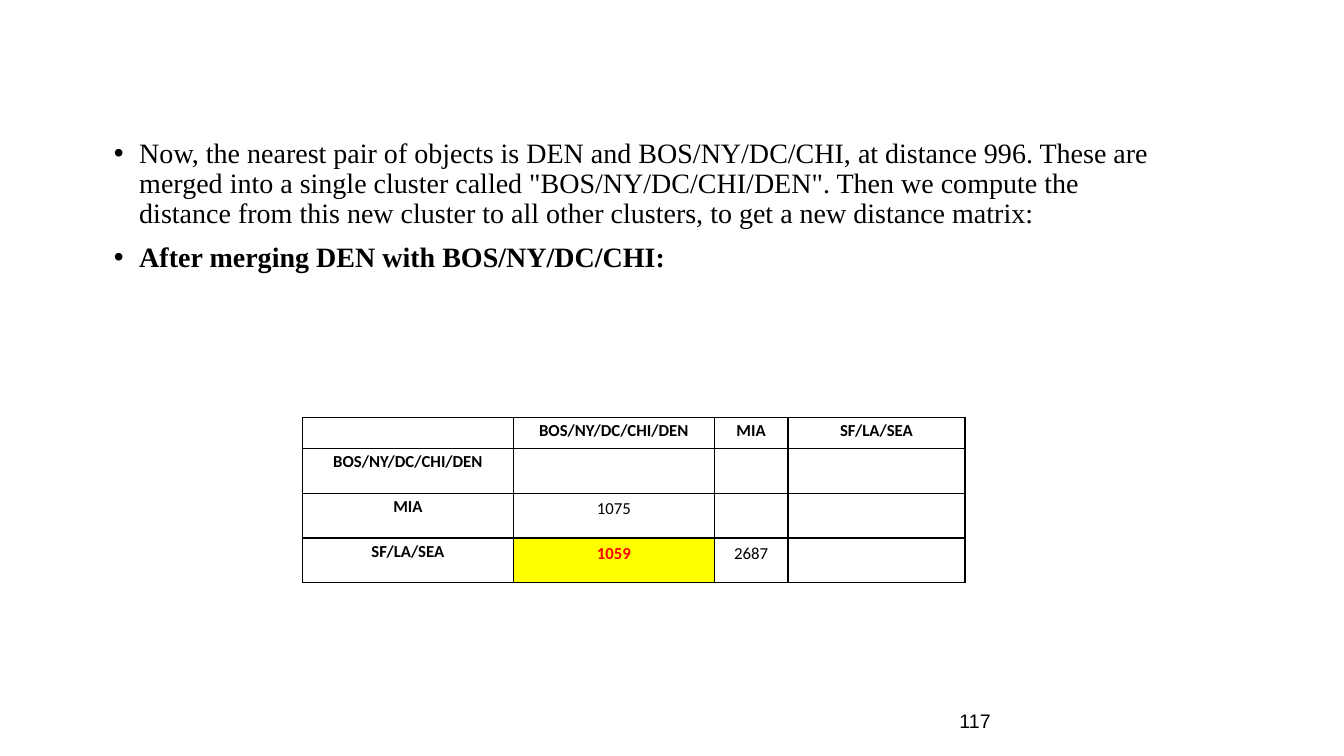
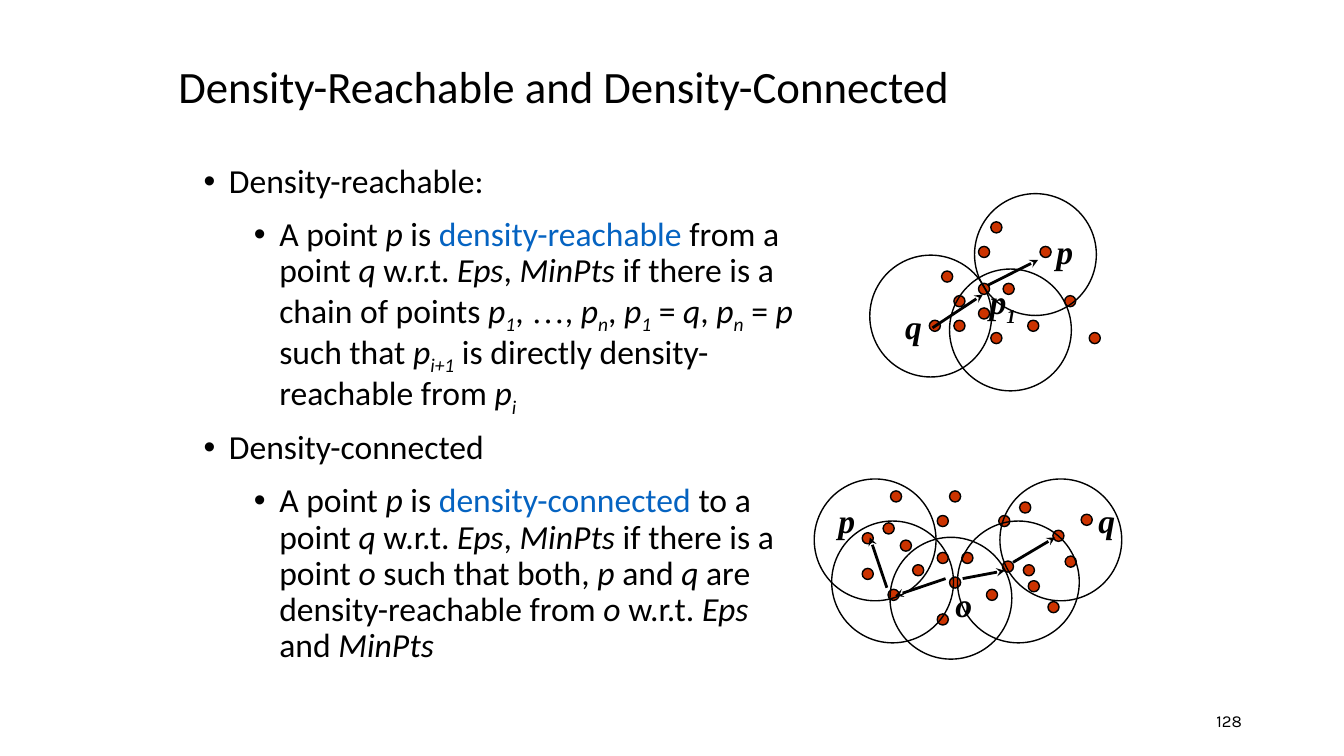
from pptx import Presentation
from pptx.dml.color import RGBColor
from pptx.enum.shapes import MSO_CONNECTOR, MSO_SHAPE
from pptx.enum.text import MSO_ANCHOR, MSO_AUTO_SIZE, PP_ALIGN
from pptx.oxml.ns import qn
from pptx.util import Cm, Pt
from lxml.etree import SubElement

BLACK, WHITE, BLUE = "000000", "FFFFFF", "0563C1"
RED, YELLOW, POINT_RED = "FF0000", "FFFF00", "CC3300"
SANS, SERIF = "Calibri", "Times New Roman"
TITLE_ONLY, BLANK = 5, 6
POINT_STEP, POINT_SIZE, CIRCLE_SIZE = 0.31, 0.28, 3.07


def color(hex_code):
    """Turn a hex string into a colour."""
    return RGBColor.from_string(hex_code)


class Deck:
    """Hold the shared style and the slide being built."""

    def __init__(self):
        """Start a widescreen presentation."""
        self.show = Presentation()
        self.show.slide_width, self.show.slide_height = Cm(33.87), Cm(19.05)
        self.slide = None

    def new_slide(self, layout):
        """Add a slide and make it current."""
        self.slide = self.show.slides.add_slide(self.show.slide_layouts[layout])

    def run(self, paragraph, words, size, face=SANS, ink=BLACK, bold=False, italic=False, sub=False):
        """Append one formatted run."""
        run = paragraph.add_run()
        run.text = words
        font = run.font
        font.size, font.name, font.bold, font.italic = Pt(size), face, bold, italic
        font.color.rgb = color(ink)
        if sub:
            run._r.get_or_add_rPr().set("baseline", "-25000")

    def frame(self, left, top, width, height, anchor=MSO_ANCHOR.TOP):
        """Add a wrapping text box and return its text frame."""
        frame = self.slide.shapes.add_textbox(Cm(left), Cm(top), Cm(width), Cm(height)).text_frame
        frame.word_wrap, frame.vertical_anchor = True, anchor
        return frame

    def title(self, words):
        """Place and fill the title placeholder."""
        title = self.slide.shapes.title
        title.left, title.top, title.width, title.height = Cm(4.24), Cm(1.07), Cm(25.4), Cm(2.33)
        frame = title.text_frame
        frame.auto_size, frame.vertical_anchor = MSO_AUTO_SIZE.NONE, MSO_ANCHOR.MIDDLE
        heading = frame.paragraphs[0]
        heading.alignment, heading.line_spacing = PP_ALIGN.LEFT, 0.9
        self.run(heading, words, 32)

    def bullets(self, place, items, size, gap, face=SANS):
        """Add bulleted paragraphs given as (level, runs)."""
        frame = self.frame(*place)
        for index, (level, runs) in enumerate(items):
            item = frame.paragraphs[0] if index == 0 else frame.add_paragraph()
            item.level, item.line_spacing = level, 0.9
            item.space_before = Pt(gap if index else 0)
            props = item._p.get_or_add_pPr()
            props.set("marL", str(Cm(0.64 + 1.27 * level)))
            props.set("indent", str(-Cm(0.64)))
            SubElement(props, qn("a:buFont")).set("typeface", "Arial")
            SubElement(props, qn("a:buChar")).set("char", "•")
            for words, style in runs:
                self.run(item, words, size, **{"face": face, **style})

    def page_number(self, number, size, face, align):
        """Write the page number at the foot."""
        frame = self.frame(23.93, 17.65, 7.62, 1.02, MSO_ANCHOR.MIDDLE)
        frame.paragraphs[0].alignment = align
        self.run(frame.paragraphs[0], number, size, face)

    def cell(self, cell, words, bold, margin, ink=BLACK, fill=WHITE):
        """Format one bordered table cell."""
        cell.margin_left = cell.margin_right = cell.margin_top = cell.margin_bottom = Cm(margin)
        props = cell._tc.get_or_add_tcPr()
        for side in ("lnL", "lnR", "lnT", "lnB"):
            border = SubElement(props, qn(f"a:{side}"), w=str(Pt(1)))
            SubElement(SubElement(border, qn("a:solidFill")), qn("a:srgbClr")).set("val", BLACK)
        cell.fill.solid()
        cell.fill.fore_color.rgb = color(fill)
        paragraph = cell.text_frame.paragraphs[0]
        paragraph.alignment = PP_ALIGN.CENTER
        if words:
            self.run(paragraph, words, 12, ink=ink, bold=bold)
        else:
            SubElement(paragraph._p, qn("a:endParaRPr")).set("sz", "1200")

    def distance_table(self, left, top, widths, heights, rows, nearest):
        """Add a distance matrix with its nearest pair highlighted."""
        table = self.slide.shapes.add_table(
            len(rows), len(widths), Cm(left), Cm(top), Cm(sum(widths)), Cm(sum(heights))).table
        table.first_row = table.horz_banding = False
        for column, width in zip(table.columns, widths):
            column.width = Cm(width)
        for r, (row, height) in enumerate(zip(rows, heights)):
            table.rows[r].height = Cm(height)
            for c, words in enumerate(row):
                header, marked = r == 0 or c == 0, words == nearest
                self.cell(table.cell(r, c), words, header or marked, 0.08 if header else 0.13,
                          RED if marked else BLACK, YELLOW if marked else WHITE)

    def circle(self, left, top, size, fill=None):
        """Add an outlined circle, filled if a colour is given."""
        circle = self.slide.shapes.add_shape(MSO_SHAPE.OVAL, Cm(left), Cm(top), Cm(size), Cm(size))
        circle.shadow.inherit = False
        circle.line.color.rgb, circle.line.width = color(BLACK), Pt(1)
        if fill:
            circle.fill.solid()
            circle.fill.fore_color.rgb = color(fill)
        else:
            circle.fill.background()

    def arrow(self, *ends):
        """Draw an arrow from tail x, y to tip x, y."""
        arrow = self.slide.shapes.add_connector(MSO_CONNECTOR.STRAIGHT, *map(Cm, ends))
        arrow.line.color.rgb, arrow.line.width = color(BLACK), Pt(2)
        SubElement(arrow.line._get_or_add_ln(), qn("a:tailEnd")).set("type", "stealth")
        SubElement(arrow._element.spPr, qn("a:effectLst"))

    def label(self, left, top, letter, index=""):
        """Name a point, with an optional subscript."""
        paragraph = self.frame(left, top, 1.7 if index else 1.07, 1.3).paragraphs[0]
        self.run(paragraph, letter, 24, SERIF, bold=True, italic=True)
        if index:
            self.run(paragraph, index, 24, SERIF, bold=True, italic=True, sub=True)

    def neighbourhoods(self, origin, points, circles, labels, arrows):
        """Draw points on a grid with their circles, labels and arrows."""
        for column, row in points:
            self.circle(origin[0] + column * POINT_STEP, origin[1] + row * POINT_STEP,
                        POINT_SIZE, POINT_RED)
        for left, top in circles:
            self.circle(left, top, CIRCLE_SIZE)
        for label in labels:
            self.label(*label)
        for ends in arrows:
            self.arrow(*ends)


def plain(words):
    """Describe an upright run."""
    return words, {}


def var(words):
    """Describe an italic run."""
    return words, {"italic": True}


def sub(words):
    """Describe an italic subscript run."""
    return words, {"italic": True, "sub": True}


def term(words):
    """Describe a highlighted run."""
    return words, {"ink": BLUE}


def definition(name, link):
    """Give the runs that open both definitions."""
    return [plain("A point "), var("p"), plain(" is "), term(name), plain(f" {link} a point "),
            var("q"), plain(" w.r.t. "), var("Eps"), plain(", "), var("MinPts")]


def merging_slide(deck):
    """Build the slide on merging clusters."""
    deck.new_slide(BLANK)
    deck.bullets((2.62, 3.38, 26.67, 11.63), [
        (0, [plain("Now, the nearest pair of objects is DEN and BOS/NY/DC/CHI, at distance 996. "
                   "These are merged into a single cluster called \"BOS/NY/DC/CHI/DEN\". Then we "
                   "compute the distance from this new cluster to all other clusters, to get a "
                   "new distance matrix:")]),
        (0, [("After merging DEN with BOS/NY/DC/CHI:", {"bold": True})]),
    ], 20, 10, SERIF)
    clusters = ["BOS/NY/DC/CHI/DEN", "MIA", "SF/LA/SEA"]
    distances = [["", "", ""], ["1075", "", ""], ["1059", "2687", ""]]
    rows = [["", *clusters]] + [[name, *row] for name, row in zip(clusters, distances)]
    deck.distance_table(7.62, 10.52, [5.32, 5.06, 1.86, 4.46], [0.78, 1.13, 1.13, 1.13], rows, "1059")
    deck.page_number("117", 14, "Arial", PP_ALIGN.LEFT)


def density_slide(deck):
    """Build the slide on density-reachable and density-connected points."""
    deck.new_slide(TITLE_ONLY)
    deck.title("Density-Reachable and Density-Connected")
    deck.bullets((4.88, 4.02, 15.67, 13.97), [
        (0, [plain("Density-reachable:")]),
        (1, definition("density-reachable", "from") + [
            plain(" if there is a chain of points "), var("p"), sub("1"), plain(", "),
            ("…", {"face": SERIF}), plain(", "), var("p"), sub("n"), plain(", "),
            var("p"), sub("1"), plain(" = "), var("q"), plain(", "), var("p"), sub("n"),
            plain(" = "), var("p"), plain(" such that "), var("p"), sub("i+1"),
            plain(" is directly density-reachable from "), var("p"), sub("i")]),
        (0, [plain("Density-connected")]),
        (1, definition("density-connected", "to") + [
            plain(" if there is a point "), var("o "), plain("such that both, "), var("p"),
            plain(" and "), var("q"), plain(" are density-reachable from "), var("o"),
            plain(" w.r.t. "), var("Eps"), plain(" and "), var("MinPts")]),
    ], 24, 12)
    shared = [(1, 4), (4, 5), (4, 2), (0, 8), (2, 6), (5, 0), (11, 6), (9, 2), (6, 5), (8, 8), (13, 9)]
    deck.neighbourhoods(
        (23.42, 5.59),
        shared + [(2, 8), (5, 9), (4, 7)],
        [(23.93, 6.78), (21.92, 6.43), (24.56, 4.88)],
        [(26.37, 5.69, "p"), (22.56, 7.59, "q"), (24.69, 6.96, "p", "1")],
        [(24.89, 7.19, 26.16, 6.55), (23.5, 8.26, 24.77, 7.42)])
    deck.neighbourhoods(
        (22.38, 12.37),
        shared + [(4, 10), (5, 7), (-2.1, 6.3), (14.4, 5.3), (9.3, 5.7), (11.4, 7.3), (15.7, 1.9),
                  (10.7, 0.9), (13.4, 3.2), (-0.4, 2.6), (-2.1, 3.4), (0.2, 0)],
        [(20.96, 13.13), (22.43, 13.54), (24.13, 13.13), (25.2, 12.07), (20.52, 12.07)],
        [(20.88, 12.47, "p"), (27.43, 12.47, "q"), (23.83, 14.58, "o")],
        [(23.83, 14.58, 22.56, 15.01), (24.26, 14.58, 25.32, 14.38),
         (22.35, 14.81, 21.92, 13.54), (25.53, 14.17, 26.59, 13.54)])
    deck.page_number("128", 12, "Karla", PP_ALIGN.RIGHT)


def main():
    """Build and save the presentation."""
    deck = Deck()
    merging_slide(deck)
    density_slide(deck)
    deck.show.save("out.pptx")


if __name__ == "__main__":
    main()
